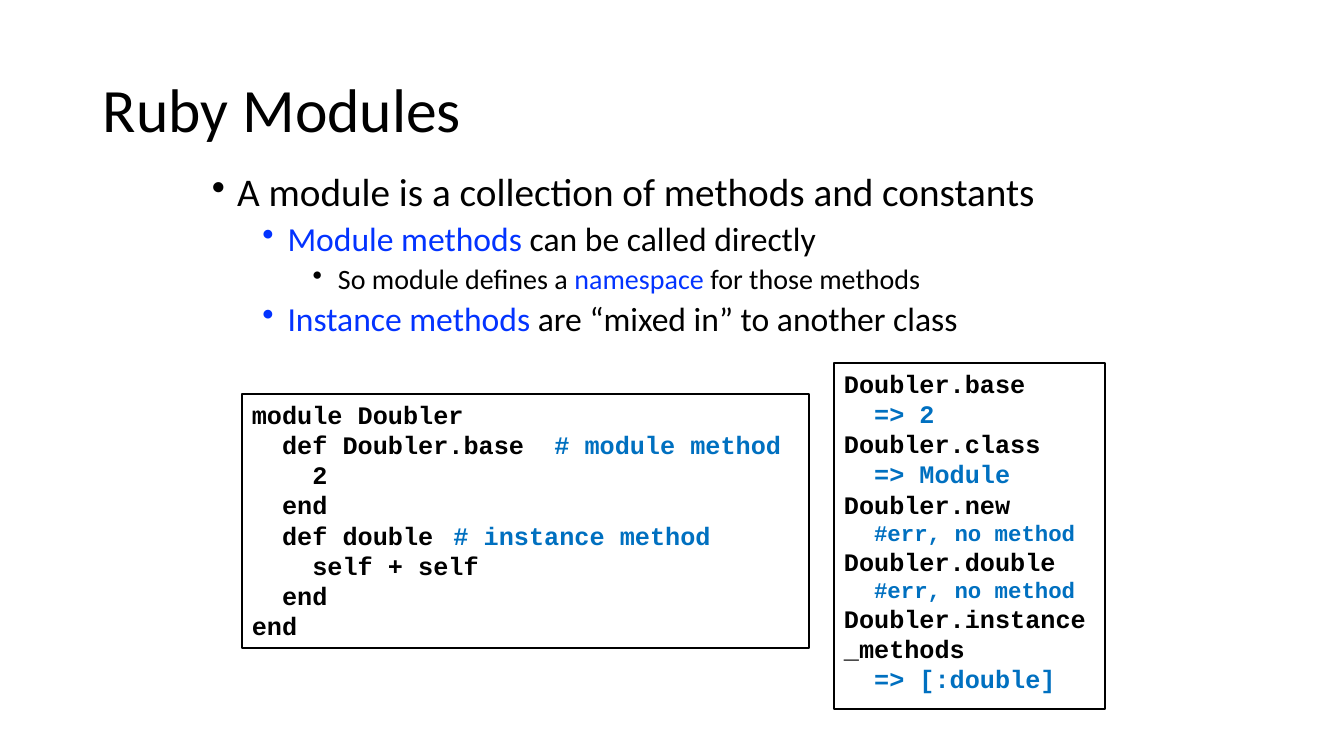
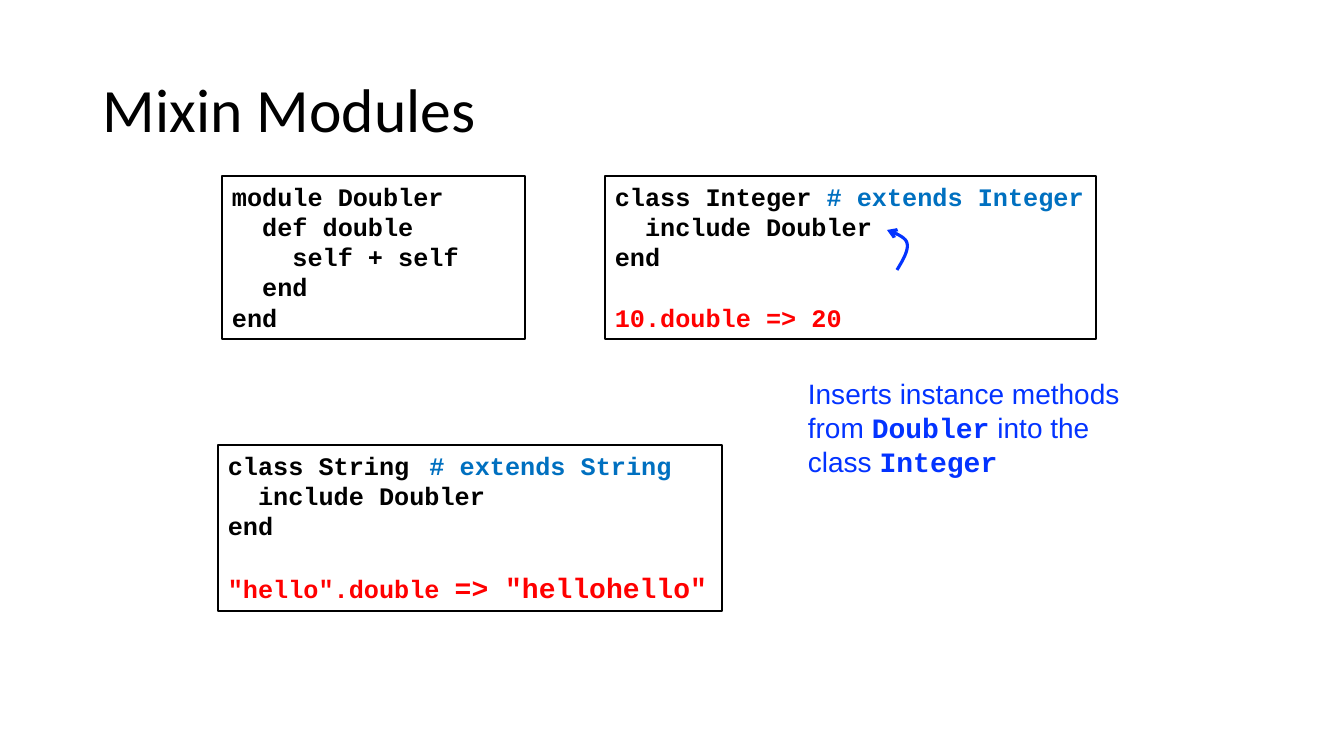
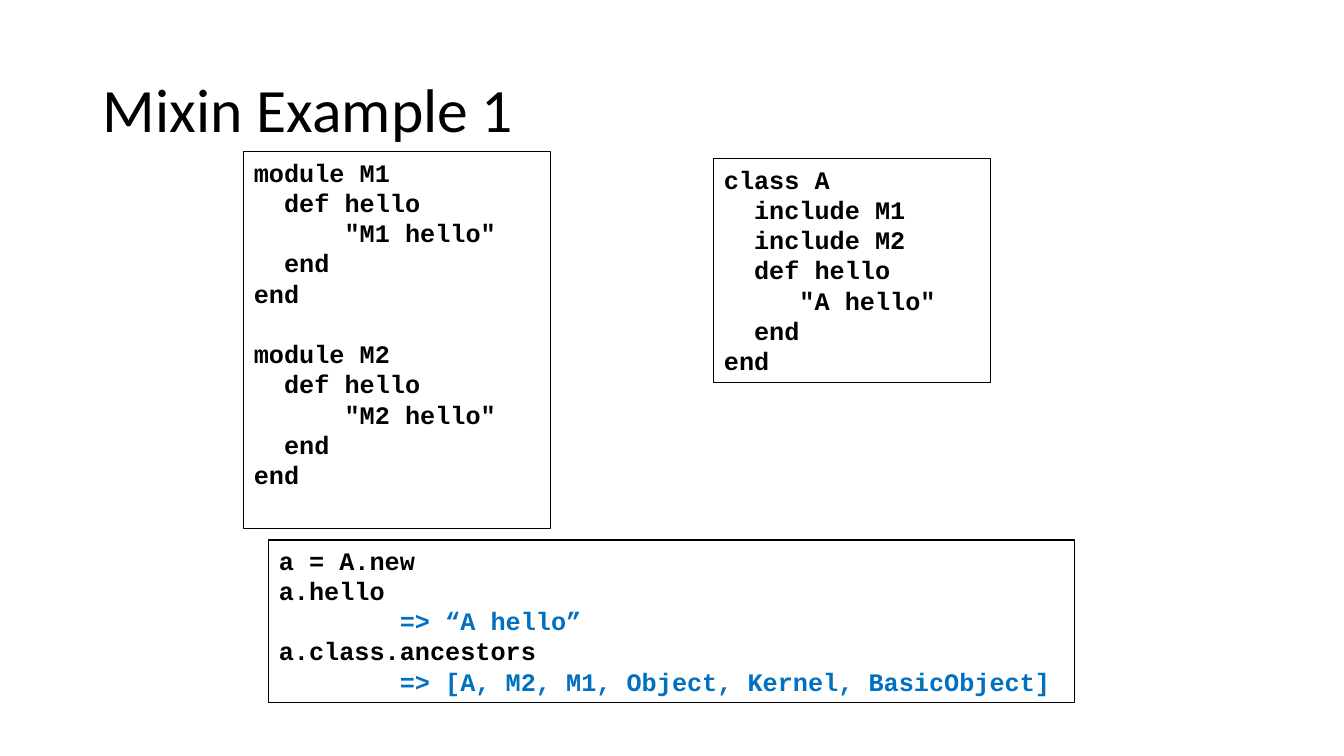
from dataclasses import dataclass

from lxml import etree
from pptx import Presentation
from pptx.dml.color import RGBColor
from pptx.enum.shapes import MSO_SHAPE
from pptx.enum.text import MSO_ANCHOR, PP_ALIGN
from pptx.oxml.ns import qn
from pptx.util import Emu, Pt

RECTANGLE = MSO_SHAPE.RECTANGLE
TOP, MIDDLE = MSO_ANCHOR.TOP, MSO_ANCHOR.MIDDLE
LEFT = PP_ALIGN.LEFT

EMU_PER_PIXEL = 914400 / 100.8
SLIDE_WIDTH, SLIDE_HEIGHT = 1344, 756
TITLE_BOX = (93, 40, 1159, 146)


@dataclass(frozen=True)
class Theme:
    """Colours, fonts and type sizes shared by all slides."""
    ink: str = "000000"
    accent: str = "0333FF"
    comment: str = "0070C0"
    result: str = "FF0000"
    heading_font: str = "Calibri"
    note_font: str = "Arial"
    code_font: str = "Courier New"
    title_size: int = 44
    bullet_sizes: tuple = (28, 24, 20)
    note_size: int = 20
    code_size: int = 18
    small_code_size: int = 16
    large_code_size: int = 20
    line_spacing: float = 0.9
    code_column: float = 10.8
    code_line: float = 21.6


THEME = Theme()


def px(length):
    """Turn picture pixels into EMU."""
    return Emu(round(length * EMU_PER_PIXEL))


def write(paragraph, text, *, size, font, color=THEME.ink, bold=False):
    """Add one formatted run to a paragraph."""
    run = paragraph.add_run()
    run.text = text
    run.font.size = Pt(size)
    run.font.name = font
    run.font.bold = bold
    run.font.color.rgb = RGBColor.from_string(color)


def paragraphs(frame, count):
    """Return the given number of left-aligned paragraphs of a frame."""
    for _ in range(count - 1):
        frame.add_paragraph()
    for paragraph in frame.paragraphs:
        paragraph.alignment = LEFT
    return frame.paragraphs


def text_frame(slide, box, anchor=TOP):
    """Add a wrapping text box and return its frame."""
    frame = slide.shapes.add_textbox(*map(px, box)).text_frame
    frame.word_wrap = True
    frame.vertical_anchor = anchor
    return frame


def titled_slide(deck, title):
    """Add a blank slide with the shared title."""
    slide = deck.slides.add_slide(deck.slide_layouts[6])
    paragraph = text_frame(slide, TITLE_BOX, MIDDLE).paragraphs[0]
    paragraph.line_spacing = THEME.line_spacing
    write(paragraph, title, size=THEME.title_size, font=THEME.heading_font)
    return slide


def bullet_list(slide, box, items):
    """Add bullets; each item is a level and its (text, colour) runs."""
    frame = text_frame(slide, box)
    for paragraph, (level, *runs) in zip(paragraphs(frame, len(items)), items):
        paragraph.level = level
        paragraph.line_spacing = THEME.line_spacing
        paragraph.space_before = Pt(5 if level else 10)
        properties = paragraph._p.get_or_add_pPr()
        properties.set("marL", str(Pt(18 + 36 * level)))
        properties.set("indent", str(-Pt(18)))
        etree.SubElement(properties, qn("a:buChar")).set("char", "•")
        for text, color in runs:
            write(paragraph, text, size=THEME.bullet_sizes[level],
                  font=THEME.heading_font, color=color)


def code(indent, *runs, tab=None, gap=False):
    """Describe a code line: indent and tab in columns, gap above it."""
    return indent, runs, tab, gap


def tinted(text, color=THEME.comment, size=THEME.code_size):
    """Describe a coloured part of a code line."""
    return text, color, size


def code_box(slide, box, lines, border=1.25):
    """Add an outlined box of code lines."""
    panel = slide.shapes.add_shape(RECTANGLE, *map(px, box))
    panel.shadow.inherit = False
    panel.fill.background()
    panel.line.color.rgb = RGBColor.from_string(THEME.ink)
    panel.line.width = Pt(border)
    frame = panel.text_frame
    frame.word_wrap = True
    frame.vertical_anchor = TOP
    for paragraph, line in zip(paragraphs(frame, len(lines)), lines):
        indent, runs, tab, gap = line
        if gap:
            paragraph.space_before = Pt(THEME.code_line)
        properties = paragraph._p.get_or_add_pPr()
        properties.set("marL", "0")
        properties.set("indent", str(Pt(indent * THEME.code_column)))
        if tab:
            stops = etree.SubElement(properties, qn("a:tabLst"))
            etree.SubElement(stops, qn("a:tab"), algn="l",
                             pos=str(Pt(tab * THEME.code_column)))
        for run in runs:
            text, color, size = tinted(run, THEME.ink) if isinstance(run, str) else run
            write(paragraph, text, size=size, font=THEME.code_font,
                  color=color, bold=True)


def bezier(start, first, second, end, steps=12):
    """Return points along a cubic curve, without its start."""
    points = []
    for step in range(1, steps + 1):
        t = step / steps
        weights = ((1 - t) ** 3, 3 * t * (1 - t) ** 2, 3 * t * t * (1 - t), t ** 3)
        points.append(tuple(
            px(sum(w * value for w, value in zip(weights, axis)))
            for axis in zip(start, first, second, end)))
    return points


def curved_arrow(slide, start, *curves):
    """Draw an open arrow along cubic curves."""
    outline = slide.shapes.build_freeform(*map(px, start))
    for curve in curves:
        outline.add_line_segments(bezier(start, *curve), close=False)
        start = curve[-1]
    arrow = outline.convert_to_shape()
    arrow.shadow.inherit = False
    arrow.fill.background()
    arrow.line.color.rgb = RGBColor.from_string(THEME.accent)
    arrow.line.width = Pt(2.25)
    etree.SubElement(arrow.line._get_or_add_ln(), qn("a:tailEnd"), type="arrow")


def note(slide, box, runs):
    """Add an accent note of (text, is_code) runs."""
    paragraph = text_frame(slide, box).paragraphs[0]
    for text, is_code in runs:
        write(paragraph, text, size=THEME.note_size, color=THEME.accent,
              font=THEME.code_font if is_code else THEME.note_font, bold=is_code)


def method_module(name, body, body_indent, gap=False):
    """Return the code lines of a module with one method."""
    method, expression = body
    return [code(0, f"module {name}", gap=gap), code(2, f"def {method}"),
            code(body_indent, expression), code(2, "end"), code(0, "end")]


def ruby_modules(deck):
    """Build the slide on what a module is."""
    slide = titled_slide(deck, "Ruby Modules")
    bullet_list(slide, (202, 168, 932, 294), [
        (0, ("A module is a collection of methods and constants", THEME.ink)),
        (1, ("Module methods", THEME.accent), (" can be called directly", THEME.ink)),
        (2, ("So module defines a ", THEME.ink), ("namespace", THEME.accent),
         (" for those methods", THEME.ink)),
        (1, ("Instance methods", THEME.accent),
         (" are “mixed in” to another class", THEME.ink)),
    ])
    code_box(slide, (242, 394, 567, 254), [
        code(0, "module Doubler"),
        code(2, "def Doubler.base\t", tinted("# module method"), tab=20),
        code(4, "2"),
        code(2, "end"),
        code(2, "def double\t", tinted("# instance method"), tab=18),
        code(4, "self + self"),
        code(2, "end"),
        code(0, "end"),
    ])
    no_method = code(2, tinted("#err, no method", size=THEME.small_code_size))
    code_box(slide, (834, 363, 271, 346), [
        code(0, "Doubler.base"),
        code(2, tinted("=> 2")),
        code(0, "Doubler.class"),
        code(2, tinted("=> Module")),
        code(0, "Doubler.new"),
        no_method,
        code(0, "Doubler.double"),
        no_method,
        code(0, "Doubler.instance_methods"),
        code(2, tinted("=> [:double]")),
    ])


def mixin_modules(deck):
    """Build the slide on mixing a module into classes."""
    slide = titled_slide(deck, "Mixin Modules")
    code_box(slide, (222, 176, 303, 163),
             method_module("Doubler", ("double", "self + self"), 4))
    mixin = [code(2, "include Doubler"), code(0, "end")]
    code_box(slide, (605, 176, 491, 163), [
        code(0, "class Integer ", tinted("# extends Integer")),
        *mixin,
        code(0, tinted("10.double => 20", THEME.result), gap=True),
    ])
    code_box(slide, (218, 445, 504, 166), [
        code(0, "class String\t", tinted("# extends String"), tab=15),
        *mixin,
        code(0, tinted('"hello".double ', THEME.result),
             tinted('=> "hellohello"', THEME.result, THEME.large_code_size), gap=True),
    ])
    note(slide, (798, 372, 351, 112), [
        ("Inserts instance methods from ", False), ("Doubler", True),
        (" into the class ", False), ("Integer", True)])
    curved_arrow(slide, (897, 270),
                 ((903, 260), (909, 250), (907, 243)),
                 ((906, 236), (887, 230), (887, 230)))


def mixin_example(deck):
    """Build the slide on method lookup with two mixins."""
    slide = titled_slide(deck, "Mixin Example 1")
    code_box(slide, (244, 152, 307, 377), [
        *method_module("M1", ("hello", '"M1 hello"'), 6),
        *method_module("M2", ("hello", '"M2 hello"'), 6, gap=True),
    ], border=0.75)
    code_box(slide, (714, 159, 277, 224), [
        code(0, "class A"),
        code(2, "include M1"),
        code(2, "include M2"),
        code(2, "def hello"),
        code(5, '"A hello"'),
        code(2, "end"),
        code(0, "end"),
    ], border=0.75)
    code_box(slide, (269, 540, 806, 163), [
        code(0, "a = A.new"),
        code(0, "a.hello"),
        code(8, tinted("=> “A hello”")),
        code(0, "a.class.ancestors"),
        code(8, tinted("=> [A, M2, M1, Object, Kernel, BasicObject]")),
    ], border=0.75)


def main():
    """Build and save the deck."""
    deck = Presentation()
    deck.slide_width, deck.slide_height = px(SLIDE_WIDTH), px(SLIDE_HEIGHT)
    ruby_modules(deck)
    mixin_modules(deck)
    mixin_example(deck)
    deck.save("out.pptx")


main()
